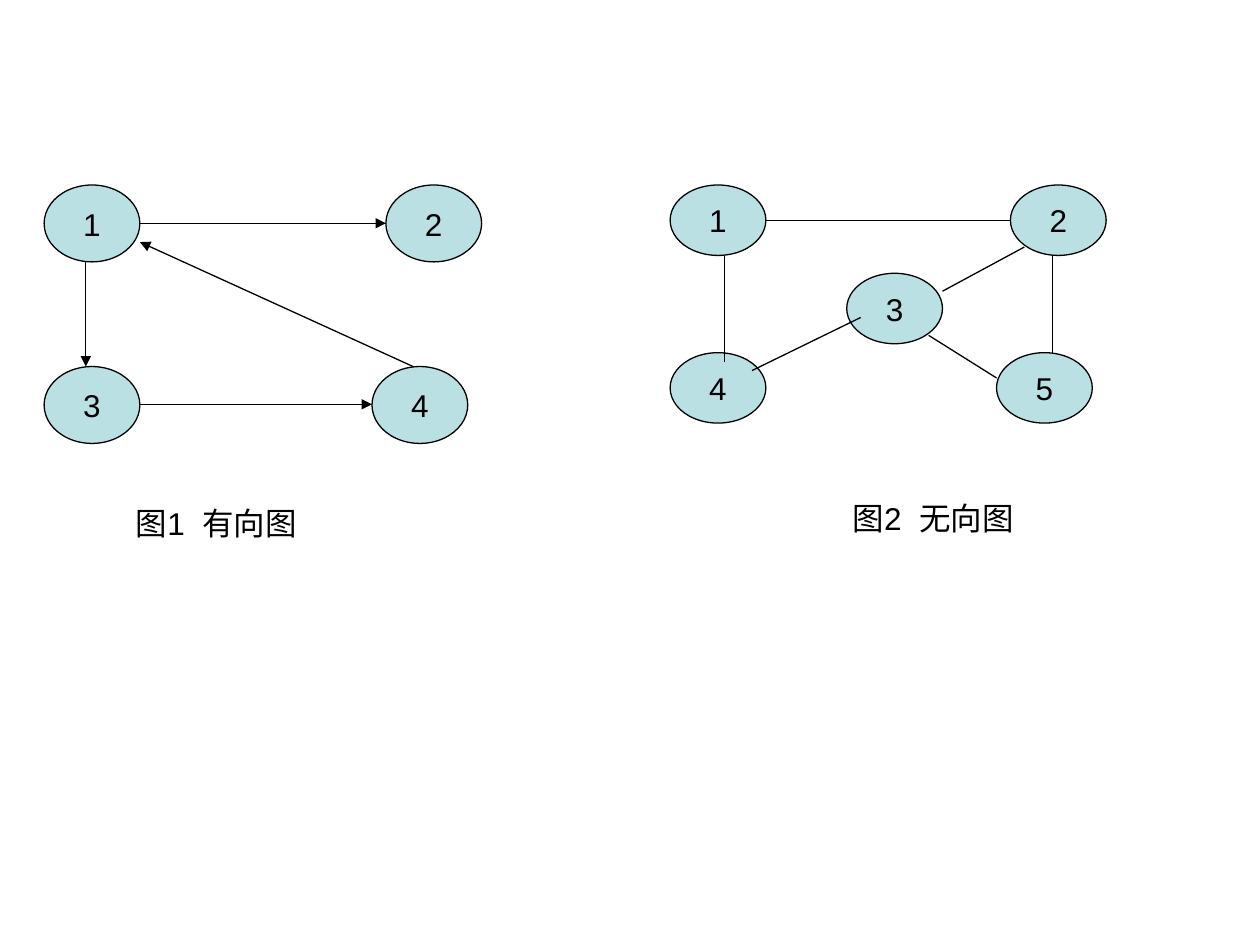
from lxml.etree import SubElement
from pptx import Presentation
from pptx.dml.color import RGBColor
from pptx.enum.shapes import MSO_CONNECTOR, MSO_SHAPE
from pptx.enum.text import MSO_ANCHOR, MSO_AUTO_SIZE, PP_ALIGN
from pptx.oxml.ns import qn
from pptx.util import Cm, Pt

BLACK = RGBColor(0x00, 0x00, 0x00)
PALE_TEAL = RGBColor(0xBB, 0xE0, 0xE3)

NODE_WIDTH = 1.93
TOP = 3.73

DIRECTED_NODES = [
    ("1", 0.89, TOP), ("2", 7.78, TOP), ("3", 0.89, 7.39), ("4", 7.5, 7.39),
]
DIRECTED_EDGES = [
    (1.73, 5.27, 1.73, 7.39),
    (2.82, 4.5, 7.78, 4.5),
    (2.82, 8.15, 7.5, 8.15),
    (8.33, 7.39, 2.82, 4.88),
]
UNDIRECTED_NODES = [
    ("1", 13.51, TOP), ("2", 20.37, TOP), ("4", 13.51, 7.11),
    ("5", 20.09, 7.11), ("3", 17.07, 5.51),
]
UNDIRECTED_EDGES = [
    (15.42, 4.44, 20.37, 4.44),
    (14.6, 5.16, 14.6, 7.29),
    (15.16, 7.47, 17.35, 6.4),
    (19, 5.87, 20.65, 4.98),
    (21.21, 5.16, 21.21, 7.11),
    (20.09, 7.62, 18.72, 6.76),
]


class GraphSlide:
    """Draws captioned graphs on one slide in a shared style."""

    font_name = "Arial"
    font_size = Pt(18)
    line_width = Pt(0.75)

    def __init__(self, slide):
        self.slide = slide

    def label(self, frame, text, alignment):
        frame.text = text
        frame.word_wrap = False
        paragraph = frame.paragraphs[0]
        paragraph.alignment = alignment
        font = paragraph.runs[0].font
        font.name, font.size = self.font_name, self.font_size
        font.color.rgb = BLACK

    def outline(self, line):
        line.color.rgb = BLACK
        line.width = self.line_width

    def node(self, group, number, left, top, height):
        ellipse = group.shapes.add_shape(
            MSO_SHAPE.OVAL, Cm(left), Cm(top), Cm(NODE_WIDTH), Cm(height))
        ellipse.shadow.inherit = False
        ellipse.fill.solid()
        ellipse.fill.fore_color.rgb = PALE_TEAL
        self.outline(ellipse.line)
        ellipse.text_frame.vertical_anchor = MSO_ANCHOR.MIDDLE
        self.label(ellipse.text_frame, number, PP_ALIGN.CENTER)

    def edge(self, group, ends, directed):
        edge = group.shapes.add_connector(
            MSO_CONNECTOR.STRAIGHT, *(Cm(value) for value in ends))
        self.outline(edge.line)
        properties = edge._element.spPr
        if directed:
            SubElement(properties.find(qn("a:ln")), qn("a:tailEnd"), type="triangle")
        SubElement(properties, qn("a:effectLst"))

    def graph(self, nodes, edges, node_height, directed):
        group = self.slide.shapes.add_group_shape()
        for number, left, top in nodes:
            self.node(group, number, left, top, node_height)
        for ends in edges:
            self.edge(group, ends, directed)

    def caption(self, text, left, top):
        caption = self.slide.shapes.add_textbox(Cm(left), Cm(top), Cm(4.06), Cm(1.02))
        self.label(caption.text_frame, text, PP_ALIGN.LEFT)
        caption.text_frame.auto_size = MSO_AUTO_SIZE.SHAPE_TO_FIT_TEXT


def main():
    presentation = Presentation()
    presentation.slide_width, presentation.slide_height = Cm(25.4), Cm(19.05)
    graphs = GraphSlide(presentation.slides.add_slide(presentation.slide_layouts[6]))
    graphs.graph(DIRECTED_NODES, DIRECTED_EDGES, node_height=1.55, directed=True)
    graphs.graph(UNDIRECTED_NODES, UNDIRECTED_EDGES, node_height=1.42, directed=False)
    graphs.caption("图1  有向图", 2.49, 10.03)
    graphs.caption("图2  无向图", 16.94, 9.93)
    presentation.save("out.pptx")


if __name__ == "__main__":
    main()
